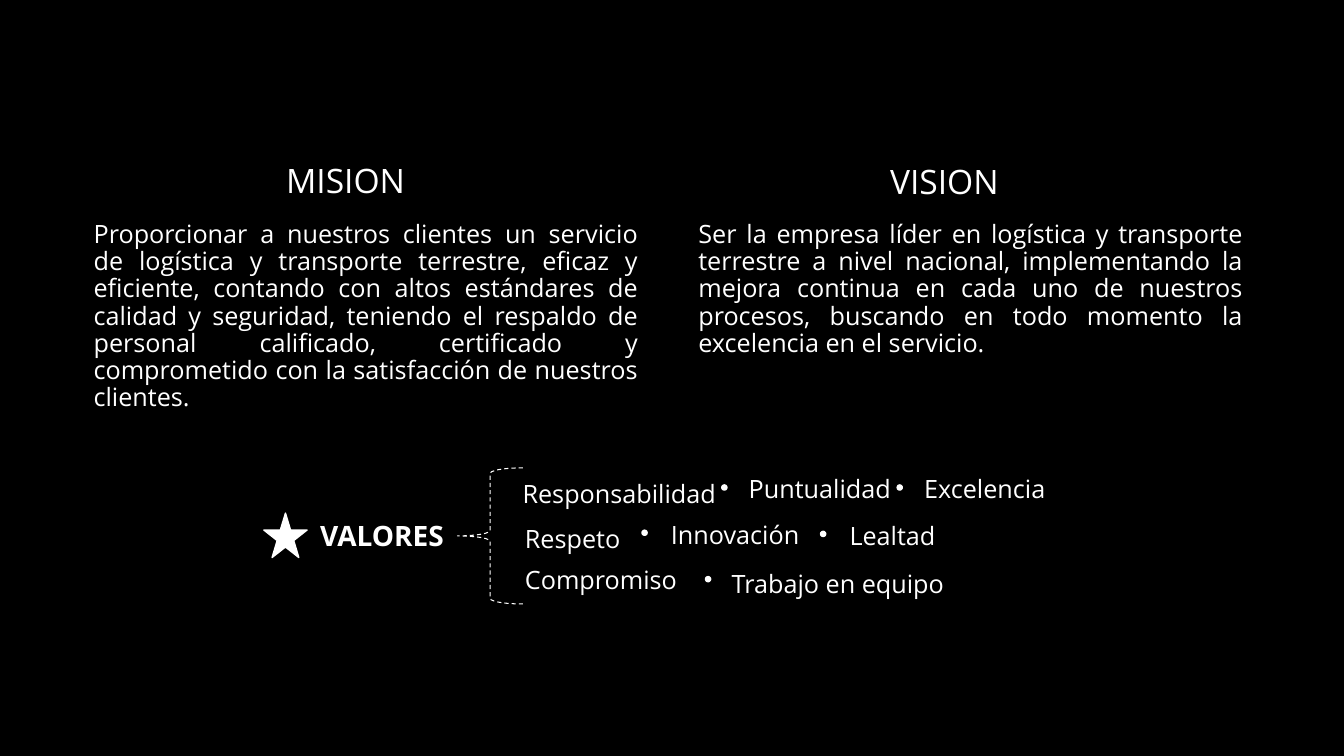
from dataclasses import dataclass

from pptx import Presentation
from pptx.dml.color import RGBColor
from pptx.enum.dml import MSO_LINE
from pptx.enum.shapes import MSO_SHAPE as Shape
from pptx.enum.text import MSO_AUTO_SIZE as AutoSize, PP_ALIGN as Align
from pptx.util import Cm, Pt


@dataclass(frozen=True)
class Theme:
    font: str = "Open Sans"
    ink: RGBColor = RGBColor(0xFF, 0xFF, 0xFF)
    ground: RGBColor = RGBColor(0, 0, 0)
    heading: float = 24
    label: float = 20
    body: float = 18


THEME = Theme()

# heading, heading left, top, width, height, statement left, statement
STATEMENTS = [
    ("MISION", 6.83, 4.01, 3.76, 1.3, 2.11,
     "Proporcionar a nuestros clientes un servicio de logística y transporte "
     "terrestre, eficaz y eficiente, contando con altos estándares de calidad y "
     "seguridad, teniendo el respaldo de personal calificado, certificado y "
     "comprometido con la satisfacción de nuestros clientes."),
    ("VISION", 21.92, 4.04, 3.76, 1.24, 17.35,
     "Ser la empresa líder en logística y transporte terrestre a nivel nacional, "
     "implementando la mejora continua en cada uno de nuestros procesos, "
     "buscando en todo momento la excelencia en el servicio."),
]

# value, left, top, width, height, line spacing
VALUES = [
    ("Responsabilidad", 12.92, 11.81, 5.69, 1.07, 1.15),
    ("Puntualidad", 18.62, 11.81, 4.72, 1.02, 1),
    ("Excelencia", 23.04, 11.81, 3.78, 1.02, 1),
    ("Respeto", 12.98, 12.95, 4.93, 1.07, 1.15),
    ("Innovación", 16.66, 12.95, 4.72, 1.02, 1),
    ("Lealtad", 21.16, 12.98, 3.1, 1.02, 1),
    ("Compromiso", 12.98, 14.1, 4.93, 1.02, 1),
    ("Trabajo en equipo", 18.19, 14.07, 6.38, 1.07, 1.15),
]

DOT_SIZE = 0.13
DOTS = [(18.19, 12.22), (22.61, 12.22), (16.18, 13.36), (20.68, 13.39), (17.78, 14.53)]


def add_text(page, text, left, top, width, height, *, size=THEME.body, bold=False,
             align=Align.LEFT, spacing=1, grow=False):
    box = page.shapes.add_textbox(Cm(left), Cm(top), Cm(width), Cm(height))
    frame = box.text_frame
    frame.word_wrap = True
    frame.auto_size = AutoSize.SHAPE_TO_FIT_TEXT if grow else AutoSize.NONE
    para = frame.paragraphs[0]
    para.alignment = align
    para.line_spacing = spacing
    span = para.add_run()
    span.text = text
    span.font.name = THEME.font
    span.font.size = Pt(size)
    span.font.bold = bold
    span.font.color.rgb = THEME.ink


def add_mark(page, kind, left, top, width, height, *, filled=True, line_width=1):
    mark = page.shapes.add_shape(kind, Cm(left), Cm(top), Cm(width), Cm(height))
    mark.shadow.inherit = False
    if filled:
        mark.fill.solid()
        mark.fill.fore_color.rgb = THEME.ink
    else:
        mark.fill.background()
    mark.line.color.rgb = THEME.ink
    mark.line.width = Pt(line_width)
    return mark


def add_statements(page):
    for heading, left, top, width, height, body_left, statement in STATEMENTS:
        add_text(page, heading, left, top, width, height,
                 size=THEME.heading, align=Align.CENTER, spacing=0.9)
        add_text(page, statement, body_left, 5.46, 14.22, 4.75,
                 align=Align.JUSTIFY, spacing=0.9)


def add_values(page):
    add_mark(page, Shape.STAR_5_POINT, 6.65, 12.93, 1.09, 1.12)
    add_text(page, "VALORES", 7.82, 12.93, 4.72, 1.12,
             size=THEME.label, bold=True, grow=True)
    brace = add_mark(page, Shape.LEFT_BRACE, 11.53, 11.79, 1.65, 3.43,
                     filled=False, line_width=0.75)
    brace.line.dash_style = MSO_LINE.DASH
    for value, left, top, width, height, spacing in VALUES:
        add_text(page, value, left, top, width, height, spacing=spacing, grow=True)
    for left, top in DOTS:
        add_mark(page, Shape.FLOWCHART_CONNECTOR, left, top, DOT_SIZE, DOT_SIZE)


def main():
    deck = Presentation()
    deck.slide_width, deck.slide_height = Cm(33.87), Cm(19.05)
    page = deck.slides.add_slide(deck.slide_layouts[6])
    page.background.fill.solid()
    page.background.fill.fore_color.rgb = THEME.ground
    add_statements(page)
    add_values(page)
    deck.save("out.pptx")


if __name__ == "__main__":
    main()
